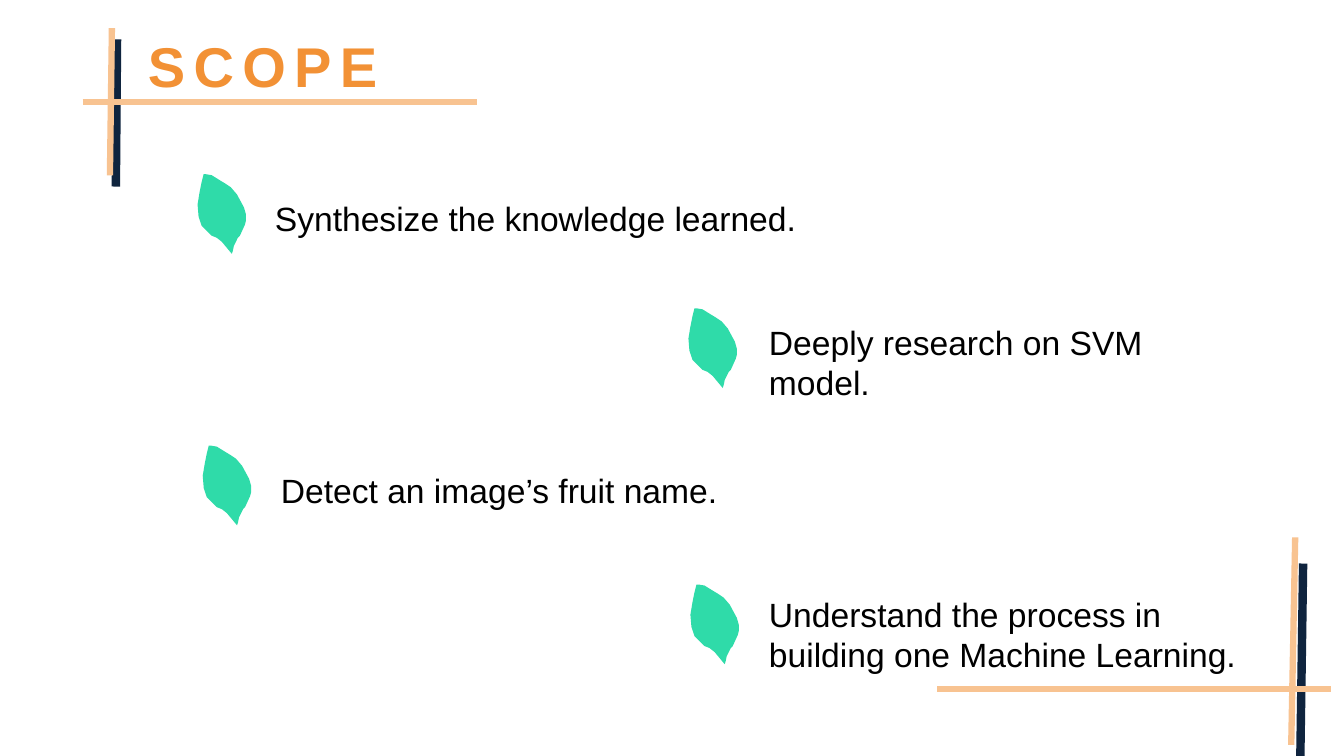
from collections import namedtuple

from lxml import etree
from pptx import Presentation
from pptx.dml.color import RGBColor
from pptx.enum.shapes import MSO_CONNECTOR as Connector
from pptx.enum.text import MSO_AUTO_SIZE as AutoSize
from pptx.oxml.ns import qn
from pptx.util import Cm, Pt

COLORS = {
    "navy": "0F243E",
    "peach": "F8C391",
    "orange": "F29135",
    "leaf": "2FDBA9",
    "black": "000000",
}
FONT = "Arial"
Box = namedtuple("Box", "left top width height")

LEAF_WIDTH = 1.22
LEAF_GRID = 48
LEAF_OUTLINE = [
    (46, 33), (39, 20), (33, 13), (27, 9), (22, 6), (14, 1), (8, 0), (6, 0),
    (4, 8), (2, 18), (0, 30), (1, 42), (4, 51), (14, 61), (19, 63), (24, 67),
    (34, 79), (35, 76), (36, 71), (40, 63), (42, 61), (47, 50), (48, 46), (48, 40),
]

TITLE_CROSS = {
    "navy": (0.87, 0.28, 0.84, 3.99),
    "bar": 1.86,
    "peach": (0.74, 0, 0.69, 3.71),
}
CORNER_CROSS = {
    "navy": (9.22, 0.66, 9.15, 5.51),
    "bar": 3.83,
    "peach": (9.02, 0, 8.92, 5.23),
}

SCOPE_ITEMS = [
    ("Synthesize the knowledge learned.", (4.98, 4.39), Box(6.68, 4.85, 13.79, 1.27)),
    ("Deeply research on SVM model.", (17.35, 7.77), Box(19.13, 7.98, 12.07, 2.31)),
    ("Detect an image’s fruit name.", (5.11, 11.23), Box(6.83, 11.71, 12.07, 1.27)),
    ("Understand the process in building one Machine Learning.",
     (17.4, 14.73), Box(19.13, 14.83, 13.26, 2.31)),
]


def rgb(name):
    return RGBColor.from_string(COLORS[name])


def add_text(slide, text, box, size=24, color="black", bold=False, spacing=0, wrap=True):
    frame = slide.shapes.add_textbox(*map(Cm, box)).text_frame
    frame.word_wrap = wrap
    frame.auto_size = AutoSize.SHAPE_TO_FIT_TEXT
    run = frame.paragraphs[0].add_run()
    run.text = text
    run.font.name = FONT
    run.font.size = Pt(size)
    run.font.bold = bold
    run.font.color.rgb = rgb(color)
    if spacing:
        run.font._element.set("spc", str(spacing * 100))


def add_stroke(slide, box, ends, color, weight):
    x1, y1, x2, y2 = ends
    stroke = slide.shapes.add_connector(
        Connector.STRAIGHT,
        Cm(box.left + x1), Cm(box.top + y1), Cm(box.left + x2), Cm(box.top + y2),
    )
    stroke.line.color.rgb = rgb(color)
    stroke.line.width = Pt(weight)
    etree.SubElement(stroke._element.spPr, qn("a:effectLst"))


def draw_cross(slide, box, cross):
    bar = (0, cross["bar"], box.width, cross["bar"])
    add_stroke(slide, box, cross["navy"], "navy", 6)
    add_stroke(slide, box, bar, "peach", 4.5)
    add_stroke(slide, box, cross["peach"], "peach", 4.5)


def draw_leaf(slide, left, top):
    outline = slide.shapes.build_freeform(
        *LEAF_OUTLINE[0], scale=Cm(LEAF_WIDTH) / LEAF_GRID
    )
    outline.add_line_segments(LEAF_OUTLINE[1:], close=True)
    leaf = outline.convert_to_shape(Cm(left), Cm(top))
    leaf.shadow.inherit = False
    leaf.fill.solid()
    leaf.fill.fore_color.rgb = rgb("leaf")
    leaf.line.fill.background()


def draw_title(slide, box):
    draw_cross(slide, box, TITLE_CROSS)
    title_box = Box(box.left + 1.4, box.top - 0.05, 6.55, 1.96)
    add_text(slide, "SCOPE", title_box, size=40, color="orange",
             bold=True, spacing=6, wrap=False)


def draw_item(slide, text, leaf_corner, box):
    draw_leaf(slide, *leaf_corner)
    add_text(slide, text, box)


def main():
    deck = Presentation()
    deck.slide_width = Cm(33.87)
    deck.slide_height = Cm(19.05)
    slide = deck.slides.add_slide(deck.slide_layouts[6])
    draw_title(slide, Box(2.08, 0.71, 9.93, 3.99))
    draw_cross(slide, Box(23.62, 13.54, 9.93, 5.51), CORNER_CROSS)
    for text, leaf_corner, box in SCOPE_ITEMS:
        draw_item(slide, text, leaf_corner, box)
    deck.save("out.pptx")


if __name__ == "__main__":
    main()
